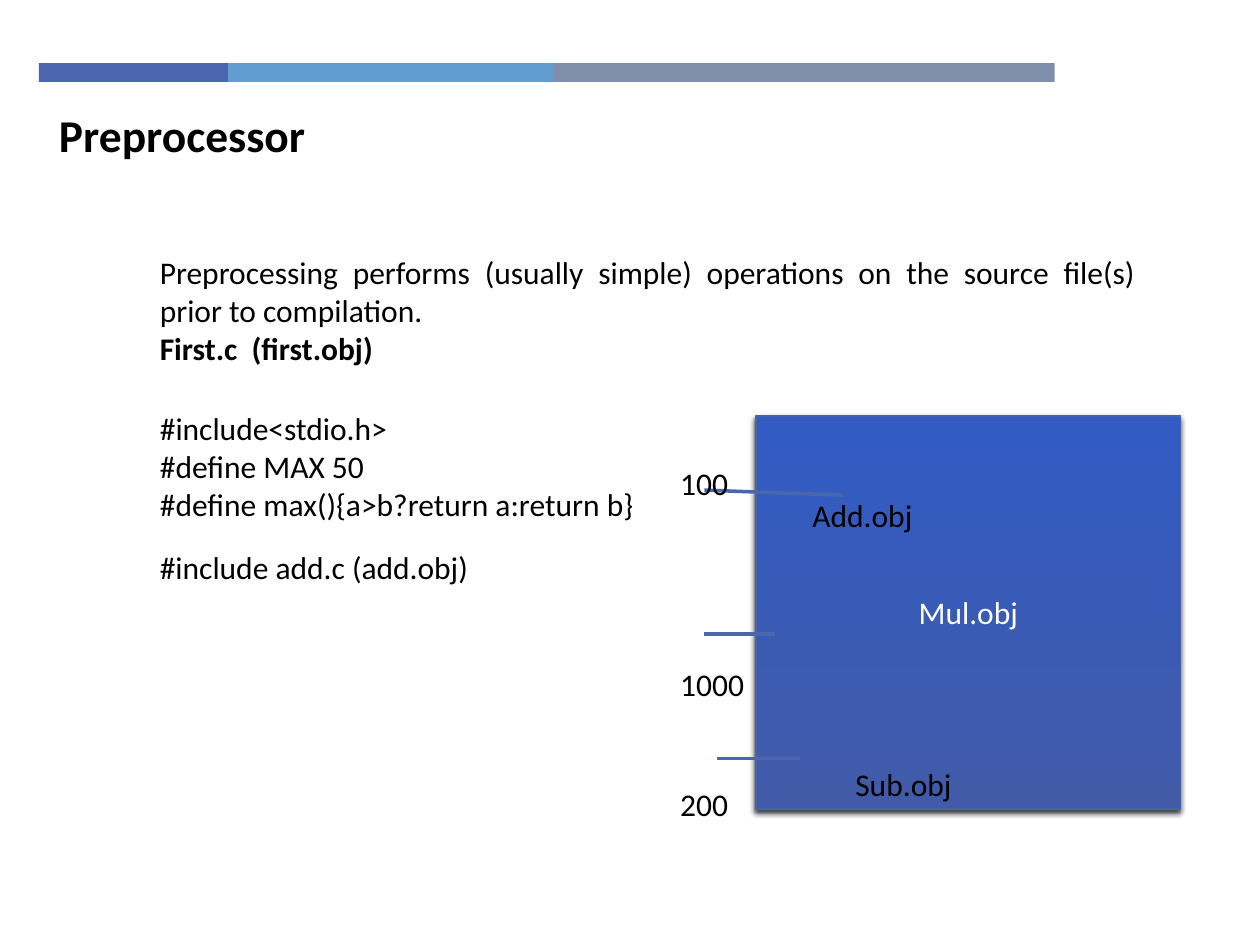
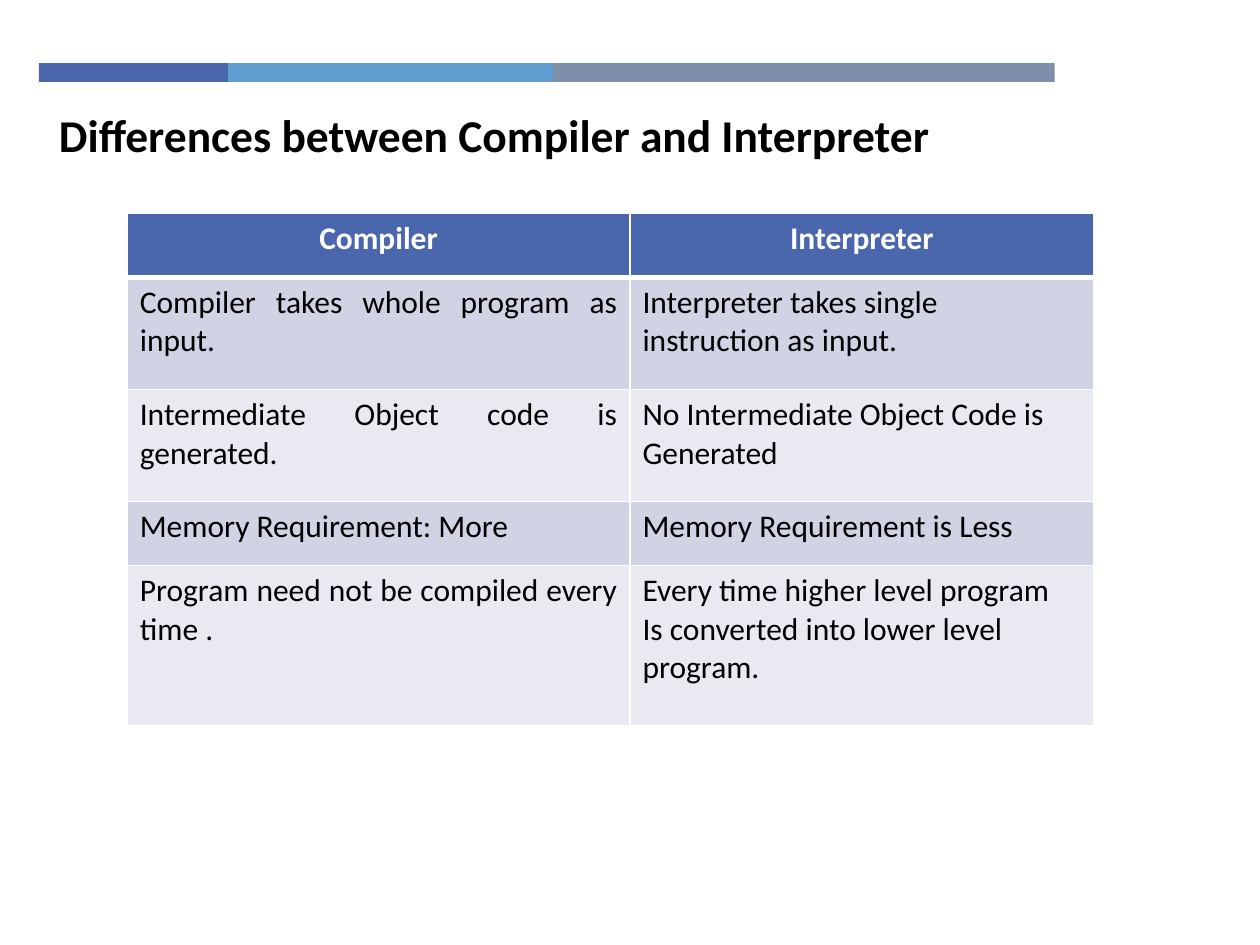
from dataclasses import dataclass
from itertools import accumulate

from lxml.etree import SubElement
from pptx import Presentation
from pptx.dml.color import RGBColor
from pptx.enum.shapes import MSO_CONNECTOR, MSO_SHAPE
from pptx.enum.text import MSO_ANCHOR, MSO_AUTO_SIZE, PP_ALIGN
from pptx.oxml.ns import qn
from pptx.util import Inches, Pt


@dataclass(frozen=True)
class Theme:
    font: str = "Calibri"
    title_size: int = 26
    body_size: int = 18
    text: str = "000000"
    light: str = "FFFFFF"
    primary: str = "4A66AC"
    bands: tuple = ("4A66AC", "629DD1", "7F8FA9")
    row_fills: tuple = ("D0D3E3", "E9EAF1")
    block_bottom: str = "415BA9"
    block_top: str = "325BC4"
    block_line: str = "4663AB"


THEME = Theme()
BAND_LEFT = 0.31
BAND_WIDTHS = (1.5, 2.58, 3.98)
COLUMN_WIDTHS = (3.99, 3.68)
ROW_HEIGHTS = (0.51, 0.89, 0.89, 0.51, 1.27)

CODE = ("#include<stdio.h>", "#define MAX 50", "#define max(){a>b?return a:return b}")
ADDRESSES = (("100", 3.63, 0.59), ("1000", 5.23, 0.71), ("200", 6.18, 0.59))
MARKERS = ((5.59, 3.89, 6.69, 3.93), (5.59, 5.03, 6.15, 5.03), (5.69, 6.02, 6.35, 6.02))
MODULES = (("Add.obj", 6.35, 3.89, 1), ("Sub.obj", 6.69, 6.02, 0.97))

LEFT, CENTER, JUSTIFY = PP_ALIGN.LEFT, PP_ALIGN.CENTER, PP_ALIGN.JUSTIFY
COMPARISON = (
    (("Compiler", CENTER), ("Interpreter", CENTER)),
    (("Compiler takes whole program as input.", JUSTIFY),
     ("Interpreter takes single instruction as input.", LEFT)),
    (("Intermediate Object code is generated.", JUSTIFY),
     ("No Intermediate Object Code is Generated", LEFT)),
    (("Memory Requirement: More", LEFT), ("Memory Requirement is Less", LEFT)),
    (("Program need not be compiled every time .", JUSTIFY),
     ("Every time higher level program\nIs converted into lower level program.", LEFT)),
)


def rgb(color):
    return RGBColor.from_string(color)


def add_run(paragraph, text, size=THEME.body_size, color=THEME.text, bold=False):
    run = paragraph.add_run()
    run.text = text
    run.font.name = THEME.font
    run.font.size = Pt(size)
    run.font.bold = bold
    run.font.color.rgb = rgb(color)


def write_lines(frame, lines, align=LEFT, **style):
    for index, line in enumerate(lines):
        paragraph = frame.add_paragraph() if index else frame.paragraphs[0]
        paragraph.alignment = align
        add_run(paragraph, line, **style)


def add_text(slide, box, lines, wrap=False, grow=True, align=LEFT, **style):
    frame = slide.shapes.add_textbox(*map(Inches, box)).text_frame
    frame.word_wrap = wrap
    frame.auto_size = MSO_AUTO_SIZE.SHAPE_TO_FIT_TEXT if grow else MSO_AUTO_SIZE.NONE
    write_lines(frame, lines, align, **style)
    return frame


def add_rectangle(slide, box):
    shape = slide.shapes.add_shape(MSO_SHAPE.RECTANGLE, *map(Inches, box))
    shape.shadow.inherit = False
    return shape


def add_content_slide(presentation, title):
    slide = presentation.slides.add_slide(presentation.slide_layouts[6])
    lefts = accumulate(BAND_WIDTHS, initial=BAND_LEFT)
    for left, width, color in zip(lefts, BAND_WIDTHS, THEME.bands):
        band = add_rectangle(slide, (left, 0.5, width, 0.15))
        band.fill.solid()
        band.fill.fore_color.rgb = rgb(color)
        band.line.fill.background()
    add_text(slide, (0.37, 0.8, 7.16, 0.54), [title], wrap=True, grow=False,
             size=THEME.title_size, bold=True)
    return slide


def add_memory_block(slide):
    block = add_rectangle(slide, (6, 3.3, 3.37, 3.12))
    block.fill.gradient()
    block.fill.gradient_angle = 90
    for stop, color in zip(block.fill.gradient_stops, (THEME.block_bottom, THEME.block_top)):
        stop.color.rgb = rgb(color)
    block.line.color.rgb = rgb(THEME.block_line)
    block.line.width = Pt(1)
    effects = block._element.spPr.find(qn("a:effectLst"))
    shadow = SubElement(effects, qn("a:outerShdw"), blurRad=str(Pt(3)), dist=str(Pt(2)),
                        dir=str(110 * 60000), rotWithShape="0")
    color = SubElement(shadow, qn("a:srgbClr"), val=THEME.text)
    SubElement(color, qn("a:alpha"), val="75000")
    block.text_frame.vertical_anchor = MSO_ANCHOR.MIDDLE
    write_lines(block.text_frame, ["Mul.obj"], CENTER, color=THEME.light)


def add_marker(slide, ends):
    marker = slide.shapes.add_connector(MSO_CONNECTOR.STRAIGHT, *map(Inches, ends))
    marker.line.color.rgb = rgb(THEME.primary)
    marker.line.width = Pt(2)
    SubElement(marker._element.spPr, qn("a:effectLst"))


def set_borders(cell, top, bottom):
    properties = cell._tc.get_or_add_tcPr()
    for side, width in (("L", 1), ("R", 1), ("T", top), ("B", bottom)):
        line = SubElement(properties, qn(f"a:ln{side}"), w=str(Pt(width)))
        fill = SubElement(line, qn("a:solidFill"))
        SubElement(fill, qn("a:srgbClr"), val=THEME.light)


def add_comparison_table(slide):
    table = slide.shapes.add_table(
        len(ROW_HEIGHTS), len(COLUMN_WIDTHS), Inches(1.01), Inches(1.69),
        Inches(sum(COLUMN_WIDTHS)), Inches(sum(ROW_HEIGHTS))).table
    table.first_row = table.horz_banding = False
    for column, width in zip(table.columns, COLUMN_WIDTHS):
        column.width = Inches(width)
    for index, (row, height, entries) in enumerate(zip(table.rows, ROW_HEIGHTS, COMPARISON)):
        row.height = Inches(height)
        header = index == 0
        fill = THEME.primary if header else THEME.row_fills[(index - 1) % 2]
        for cell, (text, align) in zip(row.cells, entries):
            set_borders(cell, top=3 if index == 1 else 1, bottom=3 if header else 1)
            cell.fill.solid()
            cell.fill.fore_color.rgb = rgb(fill)
            write_lines(cell.text_frame, text.split("\n"), align, bold=header,
                        color=THEME.light if header else THEME.text)


def build_preprocessor(presentation):
    slide = add_content_slide(presentation, "Preprocessor")
    body = add_text(slide, (1.17, 1.96, 7.94, 2.76), [
        "Preprocessing performs (usually simple) operations on the source file(s) "
        "prior to compilation."], wrap=True, align=JUSTIFY)
    for text, bold, gap in (("First.c  (first.obj)", True, 0),
                            ("#include add.c (add.obj)", False, 104)):
        paragraph = body.add_paragraph()
        paragraph.alignment = JUSTIFY
        paragraph.space_before = Pt(gap)
        add_run(paragraph, text, bold=bold)
    add_text(slide, (1.17, 3.2, 4.01, 1.01), CODE)
    add_memory_block(slide)
    for ends in MARKERS:
        add_marker(slide, ends)
    for address, top, width in ADDRESSES:
        add_text(slide, (5.3, top, width, 0.4), [address])
    for module, left, top, width in MODULES:
        add_text(slide, (left, top, width, 0.4), [module])


def build_comparison(presentation):
    slide = add_content_slide(presentation, "Differences between Compiler and Interpreter")
    add_comparison_table(slide)


def main():
    presentation = Presentation()
    presentation.slide_width = Inches(10)
    presentation.slide_height = Inches(7.5)
    build_preprocessor(presentation)
    build_comparison(presentation)
    presentation.save("out.pptx")


main()
